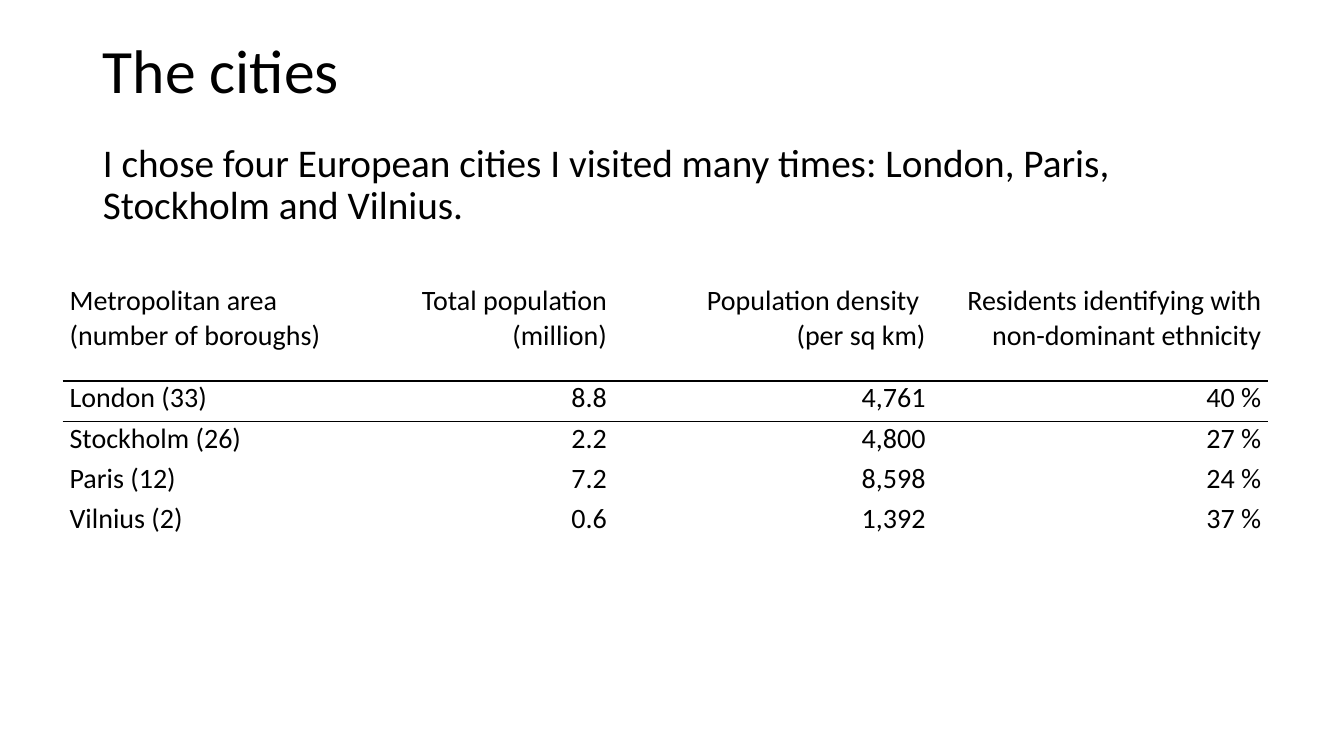
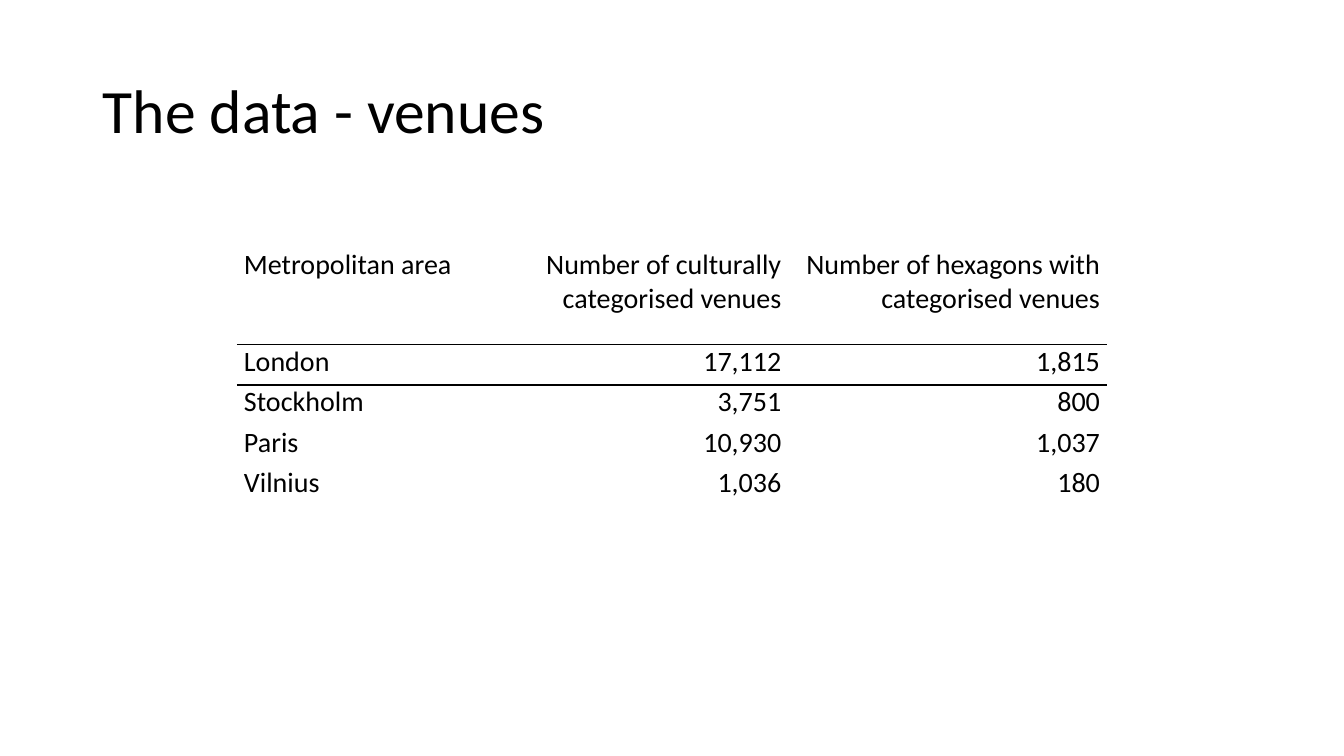
import pptx
import pptx.dml.color
import pptx.enum.text
import pptx.oxml
import pptx.oxml.ns
import pptx.presentation
import pptx.shapes.placeholder
import pptx.slide
import pptx.table
import pptx.text.text
import pptx.util
from dataclasses import dataclass

Inches = pptx.util.Inches
Align = pptx.enum.text.PP_ALIGN
Anchor = pptx.enum.text.MSO_ANCHOR

# Shared look
COLORS = {"text": "000000", "rule": "000000"}
FONT = "Calibri"
TITLE_SIZE, BODY_SIZE, TABLE_SIZE = 44, 28, 20
CONTENT_LEFT, CONTENT_WIDTH, TITLE_HEIGHT = 0.92, 11.5, 1.45
COLUMN_WIDTHS = (2.88, 2.59, 3.16, 3.33)
HEADER_HEIGHT, ROW_HEIGHT, CELL_MARGIN = 0.96, 0.4, 0.07
RULE_POINTS = 1
PLAIN_TABLE_STYLE = "{2D5ABB26-0587-4C30-8999-92F81FD0307C}"
TITLE_AND_CONTENT, TITLE_ONLY = 1, 5


@dataclass(frozen=True)
class CityTable:
    left: float
    top: float
    header: tuple[str, ...]
    cities: tuple[tuple[str, ...], ...]


@dataclass(frozen=True)
class CitySlide:
    title: str
    title_top: float
    table: CityTable
    intro: str = ""


SLIDES = (
    CitySlide(
        title="The cities",
        title_top=0,
        intro="I chose four European cities I visited many times: "
              "London, Paris, Stockholm and Vilnius.",
        table=CityTable(
            left=0.62,
            top=2.82,
            header=(
                "Metropolitan area\n(number of boroughs)",
                "Total population (million)",
                "Population density \n(per sq km)",
                "Residents identifying with non-dominant ethnicity",
            ),
            cities=(
                ("London (33)", "8.8", "4,761", "40 %"),
                ("Stockholm (26)", "2.2", "4,800", "27 %"),
                ("Paris (12)", "7.2", "8,598", "24 %"),
                ("Vilnius (2)", "0.6", "1,392", "37 %"),
            ),
        ),
    ),
    CitySlide(
        title="The data - venues",
        title_top=0.4,
        table=CityTable(
            left=2.35,
            top=2.46,
            header=(
                "Metropolitan area",
                "Number of culturally categorised venues",
                "Number of hexagons with categorised venues",
            ),
            cities=(
                ("London", "17,112", "1,815"),
                ("Stockholm", "3,751", "800"),
                ("Paris", "10,930", "1,037"),
                ("Vilnius", "1,036", "180"),
            ),
        ),
    ),
)


# Text
def style_text(frame: pptx.text.text.TextFrame, size: int, align: Align) -> None:
    for paragraph in frame.paragraphs:
        paragraph.alignment = align
        for run in paragraph.runs:
            run.font.name = FONT
            run.font.size = pptx.util.Pt(size)
            run.font.color.rgb = pptx.dml.color.RGBColor.from_string(COLORS["text"])


def fill_placeholder(
    holder: pptx.shapes.placeholder.SlidePlaceholder,
    text: str,
    top: float,
    height: float,
    size: int,
    anchor: Anchor,
) -> None:
    holder.left, holder.top = Inches(CONTENT_LEFT), Inches(top)
    holder.width, holder.height = Inches(CONTENT_WIDTH), Inches(height)
    frame = holder.text_frame
    frame.text = text
    frame.word_wrap = True
    frame.auto_size = pptx.enum.text.MSO_AUTO_SIZE.NONE
    frame.vertical_anchor = anchor
    paragraph = frame.paragraphs[0]
    paragraph.line_spacing = 0.9
    paragraph.space_before = pptx.util.Pt(0)
    style_text(frame, size, Align.LEFT)


def remove_bullet(paragraph: pptx.text.text._Paragraph) -> None:
    properties = paragraph._p.get_or_add_pPr()
    properties.set("marL", "0")
    properties.set("indent", "0")
    properties.append(pptx.oxml.parse_xml(
        f'<a:buNone {pptx.oxml.ns.nsdecls("a")}/>'))


# Table
def add_rule(cell: pptx.table._Cell, side: str) -> None:
    line = pptx.oxml.parse_xml(
        f'<a:{side} {pptx.oxml.ns.nsdecls("a")} w="{pptx.util.Pt(RULE_POINTS)}">'
        f'<a:solidFill><a:srgbClr val="{COLORS["rule"]}"/></a:solidFill>'
        f'</a:{side}>')
    cell._tc.get_or_add_tcPr().insert(0, line)


def fill_cell(cell: pptx.table._Cell, text: str, align: Align) -> None:
    cell.margin_left = cell.margin_right = Inches(CELL_MARGIN)
    cell.margin_top = cell.margin_bottom = 0
    cell.vertical_anchor = Anchor.TOP
    cell.fill.background()
    cell.text_frame.text = text
    style_text(cell.text_frame, TABLE_SIZE, align)


def add_city_table(slide: pptx.slide.Slide, content: CityTable) -> None:
    rows = (content.header, *content.cities)
    widths = COLUMN_WIDTHS[:len(content.header)]
    heights = (HEADER_HEIGHT, *[ROW_HEIGHT] * len(content.cities))
    table = slide.shapes.add_table(
        len(rows), len(widths), Inches(content.left), Inches(content.top),
        Inches(sum(widths)), Inches(sum(heights))).table
    table.first_row = table.horz_banding = False
    style_id = table._tbl.tblPr.find(pptx.oxml.ns.qn("a:tableStyleId"))
    style_id.text = PLAIN_TABLE_STYLE

    for column, width in zip(table.columns, widths):
        column.width = Inches(width)
    for row, height in zip(table.rows, heights):
        row.height = Inches(height)
    for row_index, texts in enumerate(rows):
        for column_index, text in enumerate(texts):
            cell = table.cell(row_index, column_index)
            fill_cell(cell, text, Align.RIGHT if column_index else Align.JUSTIFY)
            # One rule parts the header from the cities
            if row_index == 0:
                add_rule(cell, "lnB")
            elif row_index == 1:
                add_rule(cell, "lnT")


# Slides
def add_city_slide(deck: pptx.presentation.Presentation, content: CitySlide) -> None:
    layout = TITLE_AND_CONTENT if content.intro else TITLE_ONLY
    slide = deck.slides.add_slide(deck.slide_layouts[layout])
    fill_placeholder(slide.shapes.title, content.title, content.title_top,
                     TITLE_HEIGHT, TITLE_SIZE, Anchor.MIDDLE)
    if content.intro:
        intro = slide.placeholders[1]
        fill_placeholder(intro, content.intro, 1.37, 0.95, BODY_SIZE, Anchor.TOP)
        remove_bullet(intro.text_frame.paragraphs[0])
    add_city_table(slide, content.table)


def main() -> None:
    deck = pptx.Presentation()
    deck.slide_width, deck.slide_height = Inches(13.33), Inches(7.5)
    for content in SLIDES:
        add_city_slide(deck, content)
    deck.save("out.pptx")


if __name__ == "__main__":
    main()
